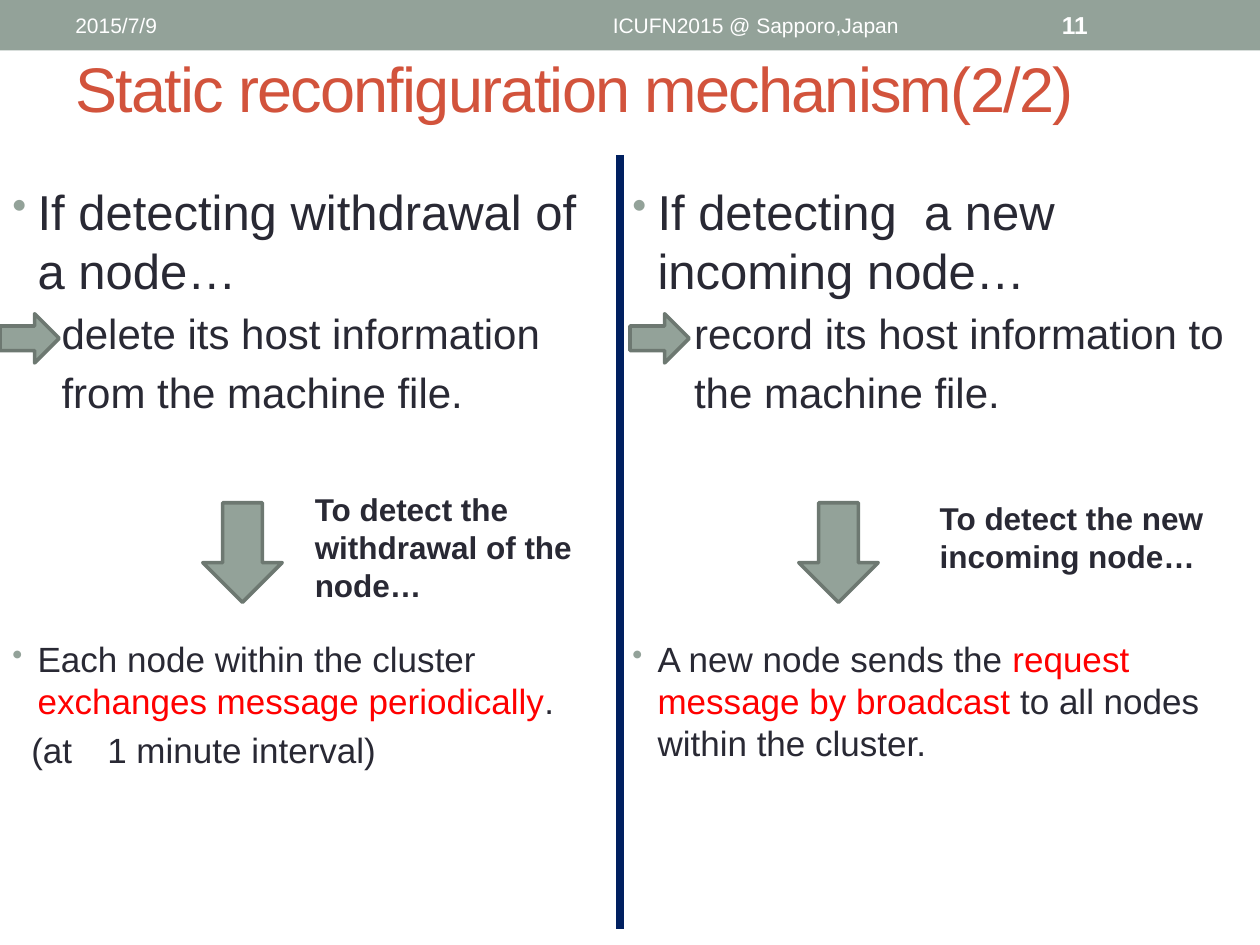
from lxml import etree
from pptx import Presentation
from pptx.dml.color import RGBColor
from pptx.enum.shapes import MSO_CONNECTOR, MSO_SHAPE
from pptx.enum.text import MSO_ANCHOR, PP_ALIGN
from pptx.oxml.ns import qn
from pptx.util import Inches, Pt

RECT, DOWN, RIGHT = MSO_SHAPE.RECTANGLE, MSO_SHAPE.DOWN_ARROW, MSO_SHAPE.RIGHT_ARROW
STRAIGHT = MSO_CONNECTOR.STRAIGHT
TOP, MIDDLE = MSO_ANCHOR.TOP, MSO_ANCHOR.MIDDLE
LEFT, CENTER = PP_ALIGN.LEFT, PP_ALIGN.CENTER

SAGE = RGBColor(0x93, 0xA2, 0x99)
SAGE_DARK = RGBColor(0x6D, 0x78, 0x71)
INK = RGBColor(0x29, 0x29, 0x34)
RUST = RGBColor(0xD2, 0x53, 0x3C)
NAVY = RGBColor(0x00, 0x20, 0x60)
RED = RGBColor(0xFF, 0x00, 0x00)
WHITE = RGBColor(0xFF, 0xFF, 0xFF)


def add_shape(slide, kind, x, y, w, h, outline=None):
    sp = slide.shapes.add_shape(kind, Inches(x), Inches(y), Inches(w), Inches(h))
    sp.shadow.inherit = False
    sp.fill.solid()
    sp.fill.fore_color.rgb = SAGE
    if outline is None:
        sp.line.fill.background()
    else:
        sp.line.color.rgb = outline
        sp.line.width = Pt(2.08)


def add_frame(slide, x, y, w, h, anchor=TOP):
    sp = slide.shapes.add_textbox(Inches(x), Inches(y), Inches(w), Inches(h))
    tf = sp.text_frame
    tf.word_wrap = True
    tf.vertical_anchor = anchor
    return tf


def add_paragraph(tf, runs, size, color=INK, bold=False, align=LEFT):
    """Adds (text, color) runs; a color of None keeps the paragraph color."""
    p = tf.paragraphs[0] if not tf.paragraphs[0].runs else tf.add_paragraph()
    p.alignment = align
    p.font.name, p.font.size, p.font.bold = "Arial", Pt(size), bold
    for text, run_color in runs:
        r = p.add_run()
        r.text = text
        r.font.color.rgb = run_color or color
    return p


def add_item(tf, runs, size, margin=0.2, bullet=False):
    p = add_paragraph(tf, runs, size)
    p.space_before = Pt(size * 0.2)
    pPr = p._p.get_or_add_pPr()
    pPr.set("marL", str(Inches(margin)))
    pPr.set("indent", str(-Inches(margin) if bullet else 0))
    if bullet:
        marks = [etree.Element(qn("a:buClr")),
                 etree.Element(qn("a:buSzPct"), val="85000"),
                 etree.Element(qn("a:buChar"), char="•")]
        etree.SubElement(marks[0], qn("a:srgbClr"), val=str(SAGE))
        for i, mark in enumerate(marks, start=1):
            pPr.insert(i, mark)  # after spcBef, before defRPr


def add_header(slide, x, y, w, h):
    add_shape(slide, RECT, x, y, w, h)
    for dx, width, text, size, bold, align in (
            (0.5, 3.17, "2015/7/9", 12, False, LEFT),
            (3.75, 4.5, "ICUFN2015 @ Sapporo,Japan", 12, False, CENTER),
            (8.33, 1.17, "11", 14, True, LEFT)):
        tf = add_frame(slide, x + dx, y + 0.02, width, h - 0.04, MIDDLE)
        add_paragraph(tf, [(text, None)], size, WHITE, bold, align)


def add_title(slide, x, y, w, h, text):
    tf = add_frame(slide, x, y, w, h, MIDDLE)
    p = add_paragraph(tf, [(text, None)], 36, RUST)
    p.runs[0].font._element.set("spc", "-100")


def add_divider(slide, x, top, bottom):
    line = slide.shapes.add_connector(STRAIGHT, Inches(x), Inches(top), Inches(x), Inches(bottom))
    line.line.color.rgb = NAVY
    line.line.width = Pt(4.5)
    etree.SubElement(line._element.spPr, qn("a:effectLst"))


def add_column(slide, x, y, w, case):
    # Event and the action it triggers
    tf = add_frame(slide, x, y, w, 2.36)
    add_item(tf, [(case["event"], None)], 28, bullet=True)
    for text in case["action"]:
        add_item(tf, [(text, None)], 24, margin=case["action_margin"])
    add_shape(slide, RIGHT, x + case["marker_dx"], y + 1.1, 0.47, 0.39, SAGE_DARK)

    # Arrow with its label
    add_shape(slide, DOWN, x + case["arrow_dx"], y + 2.6, 0.63, 0.79, SAGE_DARK)
    dx, dy, width, height = case["label_box"]
    tf = add_frame(slide, x + dx, y + dy, width, height)
    add_paragraph(tf, [(case["label"], None)], 18, bold=True)

    # How detection works
    tf = add_frame(slide, x, y + 3.62, case["method_width"], 2.36)
    add_item(tf, case["method"], 20, bullet=True)
    if "note" in case:
        add_item(tf, [(case["note"], None)], 20, margin=0.15)


WITHDRAWAL = {
    "event": "If detecting withdrawal of a node…",
    "action": ["delete its host information", "from the machine file."],
    "action_margin": 0.39, "marker_dx": 0, "arrow_dx": 1.61,
    "label": "To detect the withdrawal of the node…",
    "label_box": (2.4, 2.45, 2.36, 1.01),
    "method": [("Each node within the cluster ", None),
               ("exchanges message periodically", RED), (".", None)],
    "method_width": 4.92,
    "note": "(at\u30001 minute interval)",
}
INCOMING = {
    "event": "If detecting  a new incoming node…",
    "action": ["record its host information to", "the machine file."],
    "action_margin": 0.49, "marker_dx": 0.08, "arrow_dx": 1.42,
    "label": "To detect the new incoming node…",
    "label_box": (2.44, 2.52, 2.44, 0.71),
    "method": [("A new node sends the ", None),
               ("request message by broadcast ", RED),
               ("to all nodes within the cluster.", None)],
    "method_width": 4.88,
}

prs = Presentation()
prs.slide_width, prs.slide_height = Inches(10), Inches(7.5)
slide = prs.slides.add_slide(prs.slide_layouts[6])

SPLIT = 4.92
add_header(slide, 0, 0, 10, 0.4)
add_title(slide, 0.5, 0.15, 9, 1.08, "Static reconfiguration mechanism(2/2)")
add_divider(slide, SPLIT, 1.23, 7.37)
add_column(slide, 0, 1.39, SPLIT, WITHDRAWAL)
add_column(slide, SPLIT, 1.39, 10 - SPLIT, INCOMING)

prs.save("out.pptx")
